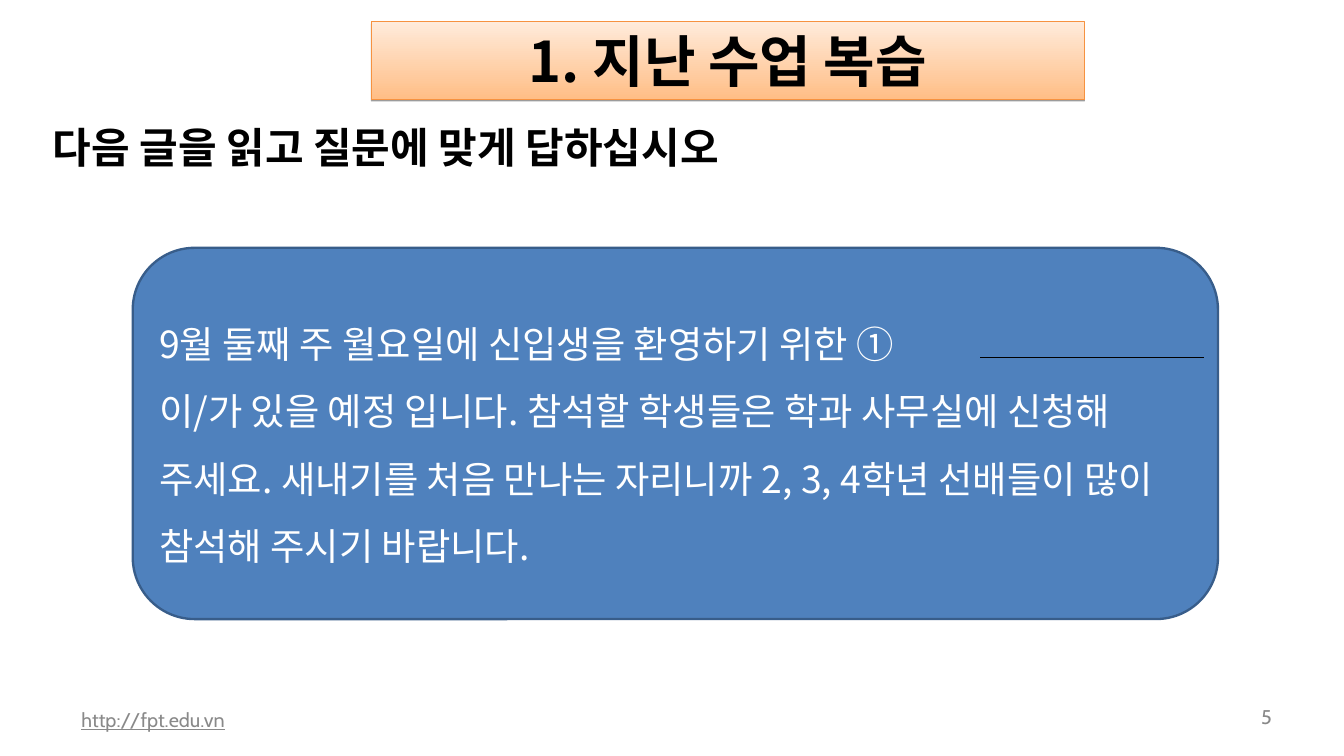
"""Build the Korean lesson review slide with a reading passage."""
from lxml import etree
from pptx import Presentation
from pptx.dml.color import RGBColor
from pptx.enum.shapes import MSO_CONNECTOR, MSO_SHAPE as SHAPE
from pptx.enum.text import MSO_ANCHOR, PP_ALIGN as ALIGN
from pptx.oxml.ns import qn
from pptx.util import Inches, Pt

BLACK = RGBColor(0, 0, 0)
WHITE = RGBColor(255, 255, 255)
GREY = RGBColor(0x89, 0x89, 0x89)
BLUE = RGBColor(0x4F, 0x81, 0xBD)
NAVY = RGBColor(0x38, 0x5D, 0x8A)
ORANGE = RGBColor(0xF6, 0x92, 0x40)
PEACH = RGBColor(0xFF, 0xBE, 0x86)
CREAM = RGBColor(0xFF, 0xEB, 0xDB)
KOREAN = "Noto Sans CJK KR"
LATIN = "Cabin"


def write(sp, *lines, size, color, font=KOREAN, bold=False, underline=False,
          align=ALIGN.LEFT, spacing=None, inset=(0.1, 0.05)):
    """Fill a shape with one paragraph per line of text."""
    tf = sp.text_frame
    tf.word_wrap = True
    tf.vertical_anchor = MSO_ANCHOR.MIDDLE
    tf.margin_left = tf.margin_right = Inches(inset[0])
    tf.margin_top = tf.margin_bottom = Inches(inset[1])
    for i, line in enumerate(lines):
        p = tf.add_paragraph() if i else tf.paragraphs[0]
        p.alignment = align
        p.line_spacing = spacing
        r = p.add_run()
        r.text = line
        r.font.size = Pt(size)
        r.font.name = font
        r.font.bold = bold
        r.font.underline = underline
        r.font.color.rgb = color
        ea = etree.SubElement(r._r.get_or_add_rPr(), qn("a:ea"))
        ea.set("typeface", font)


prs = Presentation()
prs.slide_width, prs.slide_height = Inches(16), Inches(9)
s = prs.slides.add_slide(prs.slide_layouts[6])
shapes = s.shapes

site = shapes.add_textbox(Inches(0.83), Inches(8.33), Inches(5.07), Inches(0.48))
write(site, "http://fpt.edu.vn", size=17, color=GREY, font=LATIN,
      underline=True, inset=(0.14, 0.07))
number = shapes.add_textbox(Inches(14.5), Inches(8.33), Inches(0.78), Inches(0.41))
write(number, "5", size=17, color=GREY, font=LATIN, align=ALIGN.RIGHT,
      inset=(0.14, 0.07))

title = shapes.add_shape(SHAPE.RECTANGLE, Inches(4.42), Inches(0.26),
                         Inches(8.49), Inches(0.92))
title.fill.gradient()
title.fill.gradient_angle = 90
for stop, color in zip(title.fill.gradient_stops, (PEACH, CREAM)):
    stop.color.rgb = color
title.line.color.rgb = ORANGE
title.line.width = Pt(0.75)
title.shadow.inherit = False
effects = title._element.spPr.find(qn("a:effectLst"))
shadow = etree.SubElement(effects, qn("a:outerShdw"), blurRad="0",
                          dist=str(Pt(1.6)), dir="5400000", rotWithShape="0")
shade = etree.SubElement(shadow, qn("a:srgbClr"), val=str(BLACK))
etree.SubElement(shade, qn("a:alpha"), val="38000")
write(title, "1. 지난 수업 복습", size=48, color=BLACK, bold=True,
      align=ALIGN.CENTER, inset=(0.1, 0.1))

task = shapes.add_textbox(Inches(0.42), Inches(1.42), Inches(13.33), Inches(0.65))
write(task, "다음 글을 읽고 질문에 맞게 답하십시오", size=36, color=BLACK,
      bold=True, inset=(0.21, 0))

passage = shapes.add_shape(SHAPE.ROUNDED_RECTANGLE, Inches(1.58), Inches(2.95),
                           Inches(12.92), Inches(4.42))
passage.shadow.inherit = False
passage.fill.solid()
passage.fill.fore_color.rgb = BLUE
passage.line.color.rgb = NAVY
passage.line.width = Pt(2)
write(passage,
      "9월 둘째 주 월요일에 신입생을 환영하기 위한 ①",
      "이/가 있을 예정 입니다. 참석할 학생들은 학과 사무실에 신청해 주세요. "
      "새내기를 처음 만나는 자리니까 2, 3, 4학년 선배들이 많이 참석해 주시기 바랍니다.",
      size=32, color=WHITE, spacing=1.5)

blank = shapes.add_connector(MSO_CONNECTOR.STRAIGHT, Inches(11.67), Inches(4.25),
                             Inches(14.33), Inches(4.25))
blank.line.color.rgb = BLACK
blank.line.width = Pt(0.75)
etree.SubElement(blank._element.spPr, qn("a:effectLst"))

prs.save("out.pptx")
